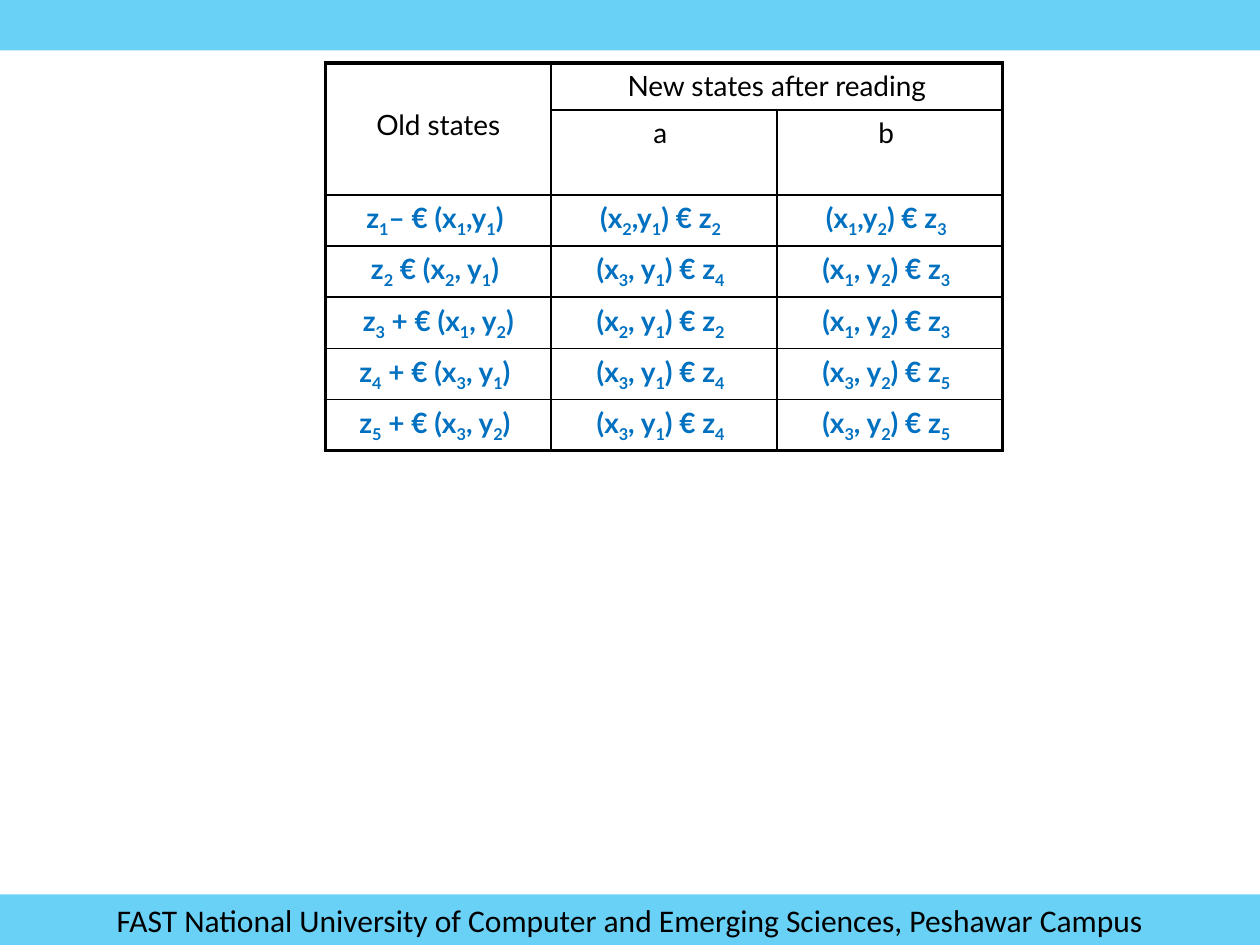
from lxml import etree
from pptx import Presentation
from pptx.dml.color import RGBColor as RGB
from pptx.enum.shapes import MSO_SHAPE as SHAPE
from pptx.enum.text import MSO_ANCHOR as ANCHOR, PP_ALIGN as ALIGN
from pptx.oxml.ns import qn
from pptx.util import Cm, Pt

COLORS = {"band": "00B0F0", "text": "000000", "state": "0070C0", "border": "000000"}
WIDTH, HEIGHT, BAND = 25.4, 19.05, 1.02
NO_STYLE = "{2D5ABB26-0587-4C30-8999-92F81FD0307C}"
FOOTER = "FAST National University of Computer and Emerging Sciences, Peshawar Campus"

HEADER = [["Old states", "New states after reading", ""], ["", "a ", "b "]]
TRANSITIONS = [
    ["z_1– € (x_1,y_1) ", "(x_2,y_1) € z_2 ", "(x_1,y_2) € z_3 "],
    ["z_2 € (x_2, y_1) ", "(x_3, y_1) € z_4 ", "(x_1, y_2) € z_3 "],
    ["z_3 + € (x_1, y_2)", "(x_2, y_1) € z_2 ", "(x_1, y_2) € z_3 "],
    ["z_4 + € (x_3, y_1) ", "(x_3, y_1) € z_4 ", "(x_3, y_2) € z_5 "],
    ["z_5 + € (x_3, y_2) ", "(x_3, y_1) € z_4 ", "(x_3, y_2) € z_5 "],
]
ROW_HEIGHTS = [0.95, 1.71] + [1.03] * len(TRANSITIONS)


class Deck:
    def __init__(self, slide):
        self.s = slide

    def style(self, r, font, size, color, bold=False):
        r.font.name, r.font.size, r.font.bold = font, Pt(size), bold
        r.font.color.rgb = RGB.from_string(COLORS[color])

    def band(self, top, text=""):
        sp = self.s.shapes.add_shape(SHAPE.RECTANGLE, 0, Cm(top), Cm(WIDTH), Cm(BAND))
        sp.shadow.inherit = False
        sp.line.fill.background()
        sp.fill.solid()
        sp.fill.fore_color.rgb = RGB.from_string(COLORS["band"])
        color = sp._element.spPr.find(qn("a:solidFill"))[0]
        etree.SubElement(color, qn("a:alpha"), val="59000")
        if text:
            tf = sp.text_frame
            tf.vertical_anchor = ANCHOR.MIDDLE
            tf.text = text
            p = tf.paragraphs[0]
            p.alignment = ALIGN.CENTER
            self.style(p.runs[0], "Calibri", 18, "text")

    def cell_text(self, cell, text, color, bold):
        p = cell.text_frame.paragraphs[0]
        p.alignment = ALIGN.CENTER
        first, *rest = text.split("_")
        pieces = [(first, False)]
        for part in rest:
            pieces += [(part[0], True), (part[1:], False)]
        for piece, subscript in pieces:
            if piece:
                r = p.add_run()
                r.text = piece
                self.style(r, "Lato", 16, color, bold)
                if subscript:
                    r.font._element.set("baseline", "-25000")

    def borders(self, cell, edges):
        tcPr = cell._tc.get_or_add_tcPr()
        for side in "LRTB":
            if cell.is_spanned and not edges[side]:
                continue
            width = Pt(2.25 if edges[side] else 1)
            ln = etree.SubElement(tcPr, qn(f"a:ln{side}"), w=str(width))
            fill = etree.SubElement(ln, qn("a:solidFill"))
            etree.SubElement(fill, qn("a:srgbClr"), val=COLORS["border"])

    def table(self, left, top, col_width, heights, header, body):
        rows = header + body
        n_rows, n_cols = len(rows), len(rows[0])
        frame = self.s.shapes.add_table(n_rows, n_cols, Cm(left), Cm(top),
                                        Cm(col_width * n_cols), Cm(sum(heights)))
        tbl = frame.table
        tbl.first_row = tbl.horz_banding = False
        tbl._tbl.tblPr.find(qn("a:tableStyleId")).text = NO_STYLE
        for col in tbl.columns:
            col.width = Cm(col_width)
        for row, height in zip(tbl.rows, heights):
            row.height = Cm(height)
        tbl.cell(0, 0).merge(tbl.cell(1, 0))
        tbl.cell(0, 1).merge(tbl.cell(0, 2))
        for i, texts in enumerate(rows):
            for j, text in enumerate(texts):
                cell = tbl.cell(i, j)
                right = j + (cell.span_width if cell.is_merge_origin else 1)
                bottom = i + (cell.span_height if cell.is_merge_origin else 1)
                self.borders(cell, {"L": j == 0, "R": right == n_cols,
                                    "T": i == 0, "B": bottom == n_rows})
                cell.fill.background()
                is_state = i >= len(header)
                self.cell_text(cell, text, "state" if is_state else "text", is_state)
        tbl.cell(0, 0).margin_top = Cm(0.91)


def main():
    prs = Presentation()
    prs.slide_width, prs.slide_height = Cm(WIDTH), Cm(HEIGHT)
    deck = Deck(prs.slides.add_slide(prs.slide_layouts[6]))
    deck.band(0)
    deck.band(HEIGHT - BAND, FOOTER)
    deck.table(6.56, 1.27, 4.55, ROW_HEIGHTS, HEADER, TRANSITIONS)
    prs.save("out.pptx")


if __name__ == "__main__":
    main()
